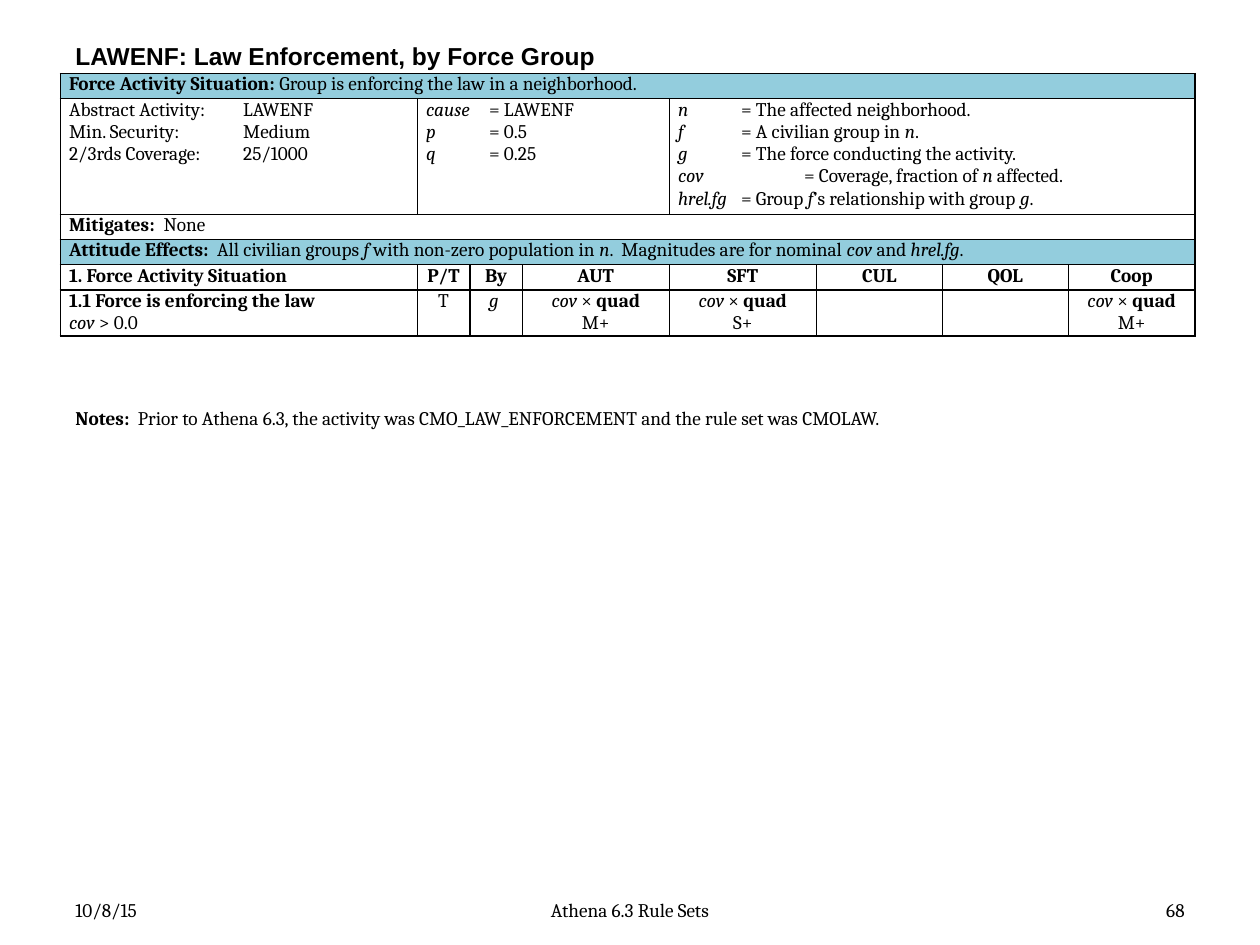
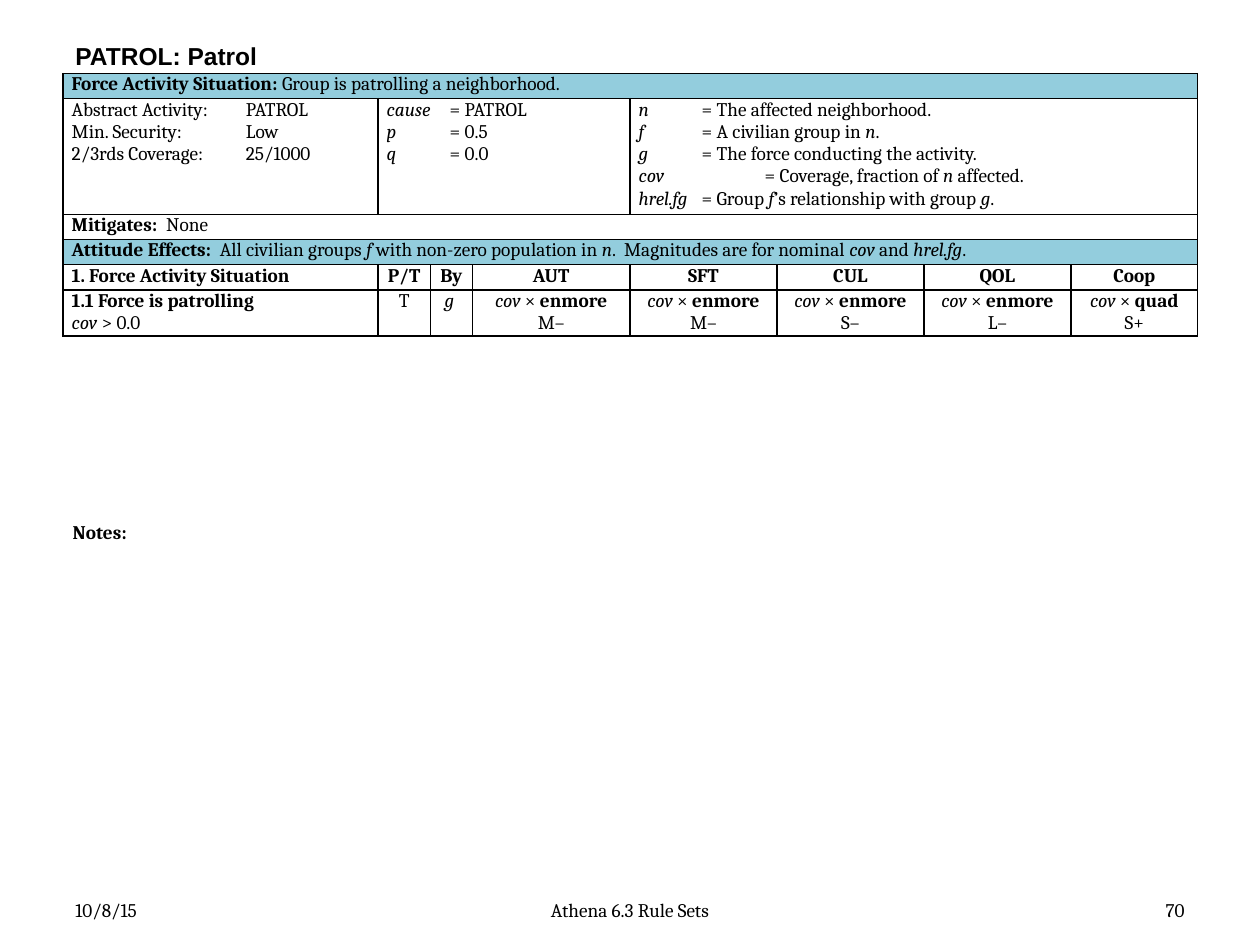
"""Build two rule set sheets, each with a title, a rule table, notes and a footer."""
from lxml.etree import SubElement
from pptx import Presentation
from pptx.dml.color import RGBColor
from pptx.enum.text import MSO_ANCHOR as Anchor, PP_ALIGN as Align
from pptx.oxml.ns import qn
from pptx.util import Pt

BLACK = RGBColor(0, 0, 0)
WHITE = RGBColor(255, 255, 255)
BLUE = RGBColor(0x93, 0xCD, 0xDD)
HEAD, BODY = "Arial", "Cambria"

SHEETS = [
    {
        "title": "LAWENF: Law Enforcement, by Force Group",
        "deed": "Group is enforcing the law in a neighborhood.",
        "facts": ("LAWENF", "Medium", "25/1000"),
        "cause": ("LAWENF", "0.5", "0.25"),
        "rule": "1.1 Force is enforcing the law",
        "marks": [("quad", "M+"), ("quad", "S+"), None, None, ("quad", "M+")],
        "notes": "*Notes:*  Prior to Athena 6.3, the activity was "
                 "CMO_LAW_ENFORCEMENT and the rule set was CMOLAW.",
        "spot": (36, 228.5),
        "left": 34.5,
        "cols": (204, 30, 30, 84, 84, 72, 72, 72.5),
        "page": "68",
    },
    {
        "title": "PATROL: Patrol",
        "deed": "Group is patrolling a neighborhood.",
        "facts": ("PATROL", "Low", "25/1000"),
        "cause": ("PATROL", "0.5", "0.0"),
        "rule": "1.1 Force is patrolling",
        "marks": [("enmore", "M–"), ("enmore", "M–"), ("enmore", "S–"),
                  ("enmore", "L–"), ("quad", "S+")],
        "notes": "*Notes:*",
        "spot": (34.5, 294),
        "left": 36,
        "cols": (180, 30, 24, 90, 84, 84, 84, 72.5),
        "page": "70",
    },
]
FACTS = ("Abstract Activity:", "Min. Security:", "2/3rds Coverage:")
CAUSE = ("cause", "p", "q")
TERMS = [
    "~n~\t= The affected neighborhood.",
    "~f~\t= A civilian group in ~n~.",
    "~g~\t= The force conducting the activity.",
    "~cov~\t= Coverage, fraction of ~n~ affected.",
    "~hrel.fg~\t= Group ~f~’s relationship with group ~g~.",
]
EFFECTS = ("*Attitude Effects:*  All civilian groups ~f ~with non-zero population in ~n~."
           "  Magnitudes are for nominal ~cov ~and ~hrel.fg~.")
HEADS = ("1. Force Activity Situation", "P/T", "By", "AUT", "SFT", "CUL", "QOL", "Coop")
ROWS = (14.4, 64, 14.4, 14.4, 14.4, 25.6)
TAB, WIDE, FACT = 36, 72, 99.5


def write(para, text, font=BODY, size=11, align=Align.LEFT, tab=None):
    """Add runs, with *bold* and ~italic~ parts."""
    para.alignment = align
    if tab:
        tabs = SubElement(para._p.get_or_add_pPr(), qn("a:tabLst"))
        SubElement(tabs, qn("a:tab"), pos=str(Pt(tab)), algn="l")
    for i, part in enumerate(text.split("*")):
        for j, piece in enumerate(part.split("~")):
            if piece:
                run = para.add_run()
                run.text = piece
                run.font.name, run.font.size = font, Pt(size)
                run.font.bold, run.font.italic = i % 2 == 1, j % 2 == 1
                run.font.color.rgb = BLACK


def label(slide, box, text, anchor=Anchor.MIDDLE, **look):
    """Place one line of text in a box."""
    frame = slide.shapes.add_textbox(*map(Pt, box)).text_frame
    frame.word_wrap = True
    frame.vertical_anchor = anchor
    write(frame.paragraphs[0], text, **look)


def fill(cell, lines, align=Align.LEFT, tabs=()):
    """Write lines in a cell, each with its own tab stop if any."""
    frame = cell.text_frame
    for i, line in enumerate(lines):
        para = frame.add_paragraph() if i else frame.paragraphs[0]
        write(para, line, align=align, tab=tabs[i] if tabs else None)


def style(cell, color):
    """Set the borders, margins and fill of a cell."""
    props = cell._tc.get_or_add_tcPr()
    for side in "LRTB":
        line = SubElement(props, qn(f"a:ln{side}"), w=str(Pt(1)))
        paint = SubElement(line, qn("a:solidFill"))
        SubElement(paint, qn("a:srgbClr"), val=str(BLACK))
    cell.margin_left = cell.margin_right = Pt(5)
    cell.margin_top = cell.margin_bottom = 0
    if color is None:
        cell.fill.background()
    else:
        cell.fill.solid()
        cell.fill.fore_color.rgb = color


def chart(slide, sheet):
    """Build the rule table of a sheet."""
    cols = sheet["cols"]
    box = map(Pt, (sheet["left"], 42, sum(cols), sum(ROWS)))
    grid = slide.shapes.add_table(len(ROWS), len(cols), *box).table
    grid.first_row = grid.horz_banding = False
    for col, width in zip(grid.columns, cols):
        col.width = Pt(width)
    for row, high, color in zip(grid.rows, ROWS, (BLUE, None, WHITE, BLUE, WHITE, None)):
        row.height = Pt(high)
        for cell in row.cells:
            style(cell, color)
    for row, first, last in ((0, 0, 7), (1, 1, 3), (1, 4, 7), (2, 0, 7), (3, 0, 7)):
        grid.cell(row, first).merge(grid.cell(row, last))

    fill(grid.cell(0, 0), [f"*Force Activity Situation:* {sheet['deed']}"])
    facts = [f"{name}\t{val}" for name, val in zip(FACTS, sheet["facts"])]
    fill(grid.cell(1, 0), facts, tabs=[FACT] * 3)
    cause = [f"~{name}~\t= {val}" for name, val in zip(CAUSE, sheet["cause"])]
    fill(grid.cell(1, 1), cause, tabs=[TAB] * 3)
    fill(grid.cell(1, 4), TERMS, tabs=[TAB, TAB, TAB, WIDE, TAB])
    fill(grid.cell(2, 0), ["*Mitigates:*\tNone"], tabs=[54])
    fill(grid.cell(3, 0), [EFFECTS])
    for i, head in enumerate(HEADS):
        fill(grid.cell(4, i), [f"*{head}*"], Align.CENTER if i else Align.LEFT)
    fill(grid.cell(5, 0), [f"*{sheet['rule']}*", "~cov~ > 0.0"])
    fill(grid.cell(5, 1), ["T"], Align.CENTER)
    fill(grid.cell(5, 2), ["~g ~"], Align.CENTER)
    for i, mark in enumerate(sheet["marks"], 3):
        lines = [f"~cov~ × *{mark[0]}*", mark[1]] if mark else [""]
        fill(grid.cell(5, i), lines, Align.CENTER)
        if not mark:
            grid.cell(5, i).text_frame.paragraphs[0].font.size = Pt(11)


def main():
    """Build and save the deck."""
    deck = Presentation()
    deck.slide_width, deck.slide_height = Pt(720), Pt(540)
    for sheet in SHEETS:
        slide = deck.slides.add_slide(deck.slide_layouts[6])
        label(slide, (36, 21.6, 648, 20.2), f"*{sheet['title']}*", font=HEAD, size=14)
        feet = ((36, 168, "10/8/15", Align.LEFT),
                (246, 228, "Athena 6.3 Rule Sets", Align.CENTER),
                (516, 168, sheet["page"], Align.RIGHT))
        for left, width, text, align in feet:
            label(slide, (left, 510, width, 19.5), text, align=align)
        chart(slide, sheet)
        label(slide, (*sheet["spot"], 654, 21), sheet["notes"], Anchor.TOP)
    deck.save("out.pptx")


if __name__ == "__main__":
    main()
